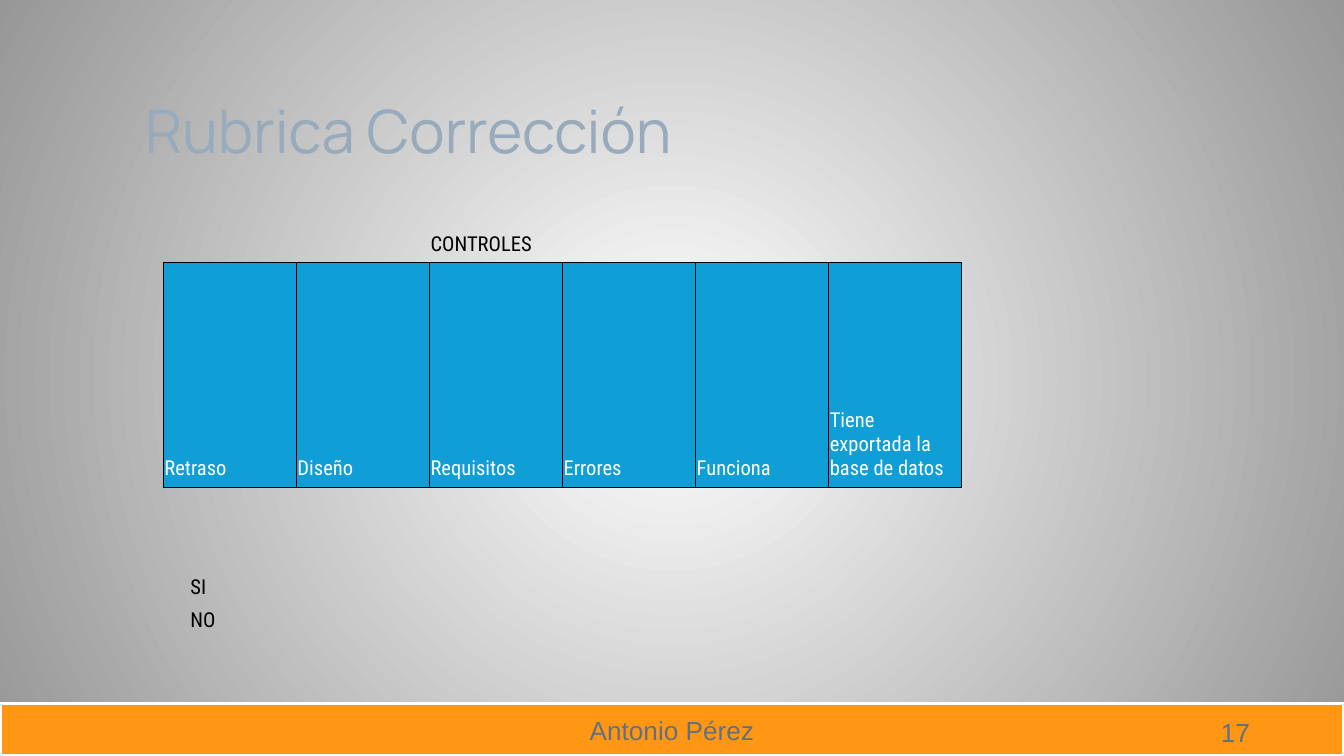
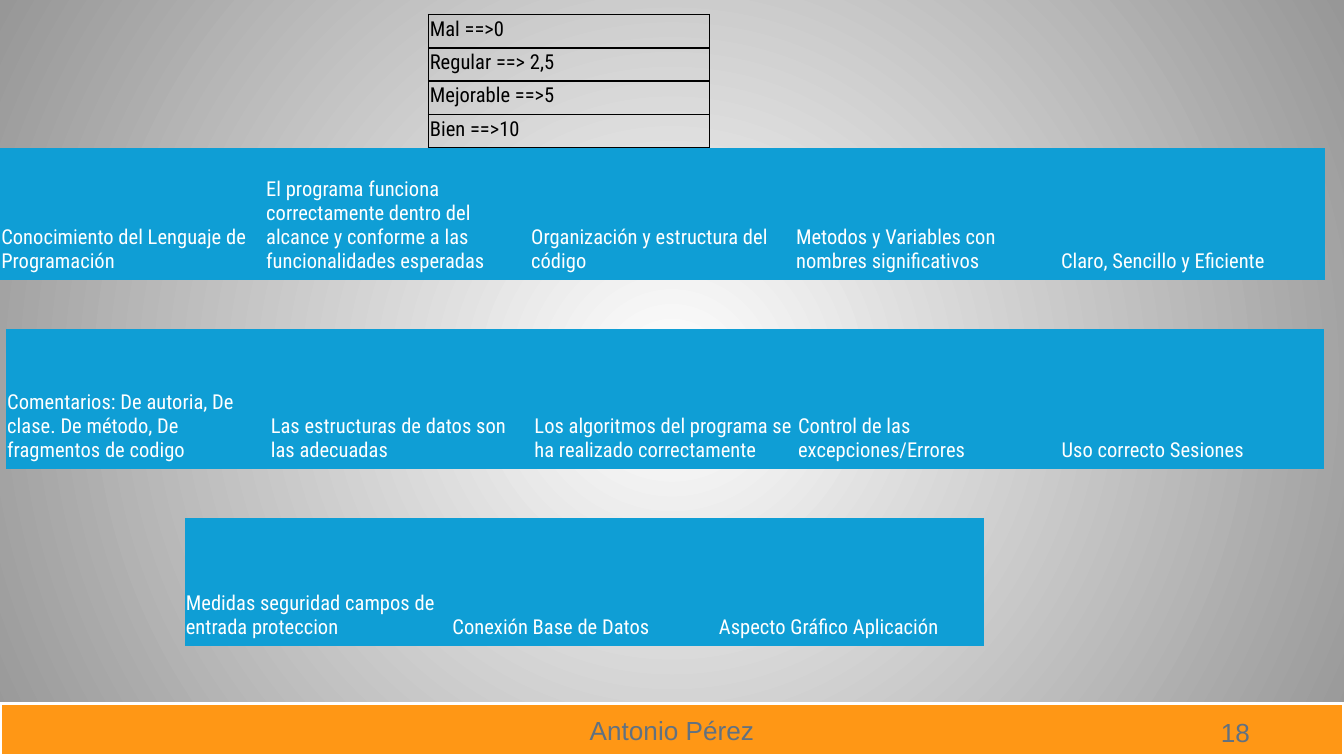
"""Build the two grading rubric slides."""
from lxml import etree
from pptx import Presentation
from pptx.dml.color import RGBColor
from pptx.enum.shapes import MSO_SHAPE
from pptx.enum.text import MSO_ANCHOR, PP_ALIGN
from pptx.oxml.ns import qn
from pptx.util import Pt

RECTANGLE = MSO_SHAPE.RECTANGLE
MIDDLE, BOTTOM = MSO_ANCHOR.MIDDLE, MSO_ANCHOR.BOTTOM
CENTER = PP_ALIGN.CENTER

COLORS = {
    "white": "FFFFFF",
    "black": "000000",
    "edge": "979797",
    "band": "FF9715",
    "pink": "F20253",
    "sky": "7ECEFD",
    "blue": "2185C5",
    "footer": "617181",
    "title": "97ABBC",
    "criterion": "0F9ED5",
}
FOOTER_FONT, TITLE_FONT, TABLE_FONT = "Arial", "Manrope", "Roboto Condensed"
FOOTER_SIZE, TITLE_SIZE, TABLE_SIZE = 14, 32, 11
NO_STYLE = "{2D5ABB26-0587-4C30-8999-92F81FD0307C}"
WIDTH, HEIGHT = 720, 405
BAND_TOP, STRIP_TOP = 376.9, 399.2
FOOTER_BARS = [
    (579.4, STRIP_TOP, 70.3, "band"),
    (649.7, STRIP_TOP, 70.3, "pink"),
    (0, STRIP_TOP, 70.3, "sky"),
    (70.3, STRIP_TOP, 509.1, "blue"),
    (0, BAND_TOP, WIDTH, "band"),
]


def add_run(paragraph, text, font, size, color):
    run = paragraph.add_run()
    run.text = text
    run.font.name = font
    run.font.size = Pt(size)
    run.font.color.rgb = RGBColor.from_string(COLORS[color])


def add_rubric(slide, left, top, column_width, rows, line_spacing=None):
    column_count = len(rows[0][1])
    total_height = sum(row[0] for row in rows)
    frame = slide.shapes.add_table(
        len(rows), column_count, Pt(left), Pt(top),
        Pt(column_width * column_count), Pt(total_height))
    table = frame.table
    table.first_row = table.horz_banding = False
    table._tbl.tblPr.find(qn("a:tableStyleId")).text = NO_STYLE
    for column in table.columns:
        column.width = Pt(column_width)
    for r, (height, texts, filled, border) in enumerate(rows):
        table.rows[r].height = Pt(height)
        for c, text in enumerate(texts):
            cell = table.cell(r, c)
            cell.margin_left = cell.margin_right = cell.margin_top = Pt(0.7)
            cell.margin_bottom = Pt(3.6)
            cell.vertical_anchor = BOTTOM
            paragraph = cell.text_frame.paragraphs[0]
            if line_spacing:
                paragraph.line_spacing = Pt(line_spacing)
            if text:
                add_run(paragraph, text, TABLE_FONT, TABLE_SIZE, "white" if filled else "black")
            else:
                etree.SubElement(paragraph._p, qn("a:endParaRPr"), sz=str(TABLE_SIZE * 100))
            if border:
                properties = cell._tc.get_or_add_tcPr()
                for side in ("lnL", "lnR", "lnT", "lnB"):
                    line = etree.SubElement(properties, qn("a:" + side), w=str(Pt(border)))
                    solid = etree.SubElement(line, qn("a:solidFill"))
                    etree.SubElement(solid, qn("a:srgbClr"), val=COLORS["black"])
            if filled:
                cell.fill.solid()
                cell.fill.fore_color.rgb = RGBColor.from_string(COLORS["criterion"])
            else:
                cell.fill.background()


prs = Presentation()
prs.slide_width, prs.slide_height = Pt(WIDTH), Pt(HEIGHT)

backdrop = prs.slide_master.background.fill
backdrop.gradient()
for stop, color in zip(backdrop.gradient_stops, ("white", "edge")):
    stop.color.rgb = RGBColor.from_string(COLORS[color])
gradient = prs.slide_master.element.find(".//" + qn("a:gradFill"))
gradient.remove(gradient.find(qn("a:lin")))
circle = etree.SubElement(gradient, qn("a:path"), path="circle")
etree.SubElement(circle, qn("a:fillToRect"), l="50000", t="50000", r="50000", b="50000")

slides = []
for number in ("17", "18"):
    slide = prs.slides.add_slide(prs.slide_layouts[6])
    slides.append(slide)
    for left, top, width, color in FOOTER_BARS:
        bar = slide.shapes.add_shape(RECTANGLE, Pt(left), Pt(top), Pt(width), Pt(HEIGHT - top))
        bar.shadow.inherit = False
        bar.fill.solid()
        bar.fill.fore_color.rgb = RGBColor.from_string(COLORS[color])
        if top == BAND_TOP:
            bar.line.color.rgb = RGBColor.from_string(COLORS["white"])
            bar.line.width = Pt(2)
            bar.text_frame.vertical_anchor = MIDDLE
            author = bar.text_frame.paragraphs[0]
            author.alignment = CENTER
            add_run(author, "Antonio Pérez", FOOTER_FONT, FOOTER_SIZE, "footer")
        else:
            bar.line.fill.background()
    page = slide.shapes.add_textbox(Pt(646.9), Pt(380.2), Pt(43), Pt(24.5)).text_frame
    page.word_wrap = True
    add_run(page.paragraphs[0], number, FOOTER_FONT, FOOTER_SIZE, "footer")

controls_slide, criteria_slide = slides

title = controls_slide.shapes.add_textbox(Pt(70.5), Pt(28), Pt(509), Pt(67.7)).text_frame
title.word_wrap = True
title.vertical_anchor = BOTTOM
title.margin_left = title.margin_right = title.margin_top = title.margin_bottom = Pt(7.2)
add_run(title.paragraphs[0], "Rubrica Corrección", TITLE_FONT, TITLE_SIZE, "title")

controls = ["Retraso", "Diseño", "Requisitos", "Errores", "Funciona",
            "Tiene  exportada la base de datos"]
add_rubric(controls_slide, 87.4, 118, 71.3, [
    (22.8, ["", "", "CONTROLES", "", "", ""], False, None),
    (120.4, controls, True, 0.5),
])
add_rubric(controls_slide, 101.3, 307.4, 60, [
    (14.6, [answer], False, None) for answer in ("SI", "NO")
])

criteria = [
    (0, 79.3, 141.95, 70.6, [
        "Conocimiento del Lenguaje de Programación",
        "El programa funciona correctamente dentro del alcance y conforme a las "
        "funcionalidades esperadas",
        "Organización y estructura del código",
        "Metodos y Variables con nombres significativos",
        "Claro, Sencillo y Eficiente"]),
    (3.2, 176.4, 141.25, 74.8, [
        "Comentarios: De autoria, De clase. De método, De fragmentos de codigo",
        "Las estructuras de datos son las adecuadas",
        "Los algoritmos del programa se ha realizado correctamente",
        "Control de las excepciones/Errores",
        "Uso correcto Sesiones"]),
    (98.9, 277.7, 142.8, 68.3, [
        "Medidas seguridad campos de entrada proteccion",
        "Conexión Base de Datos",
        "Aspecto Gráfico Aplicación"]),
]
for left, top, column_width, height, texts in criteria:
    add_rubric(criteria_slide, left, top, column_width, [(height, texts, True, None)])

grades = ["Mal ==>0", "Regular ==> 2,5", "Mejorable ==>5", "Bien ==>10"]
add_rubric(criteria_slide, 229.6, 7.8, 150.6,
           [(17.85, [grade], False, 1) for grade in grades], line_spacing=13.5)

prs.save("out.pptx")
